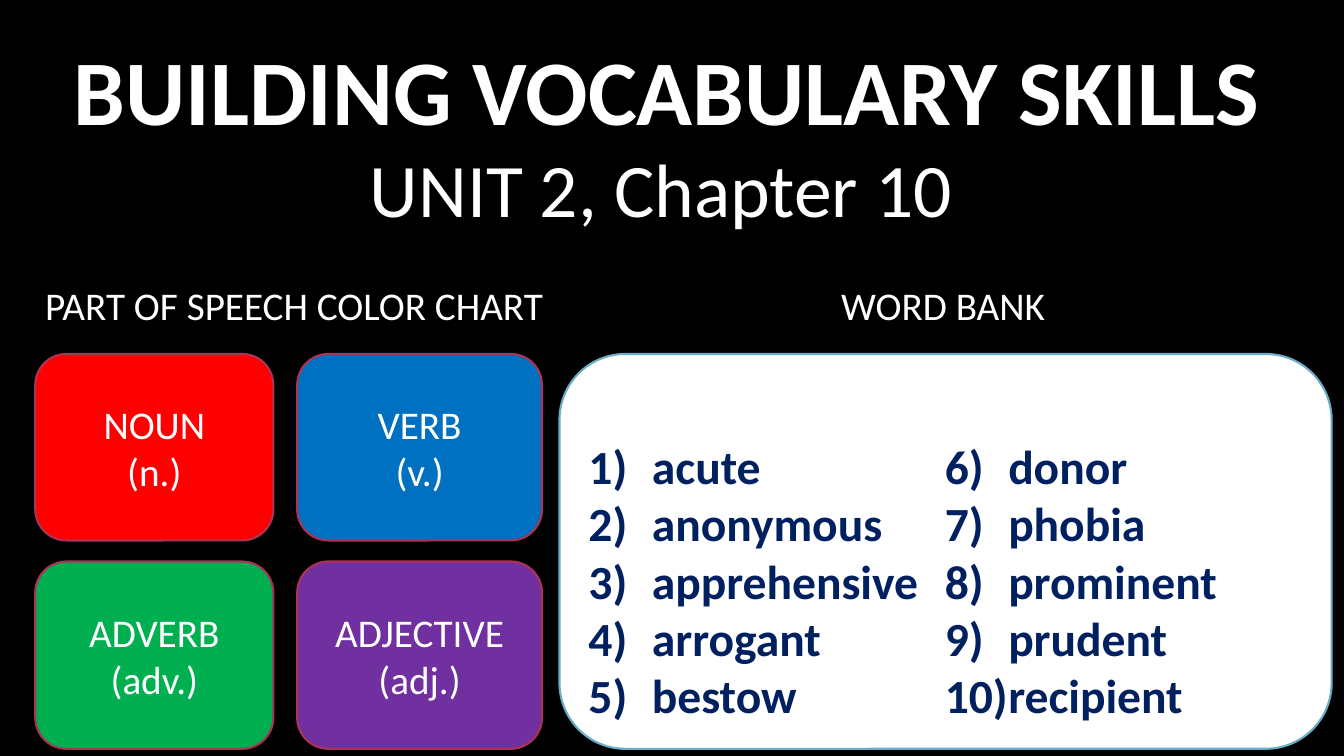
from lxml.etree import SubElement
from pptx import Presentation
from pptx.dml.color import RGBColor
from pptx.enum.shapes import MSO_SHAPE
from pptx.enum.text import MSO_ANCHOR, PP_ALIGN
from pptx.oxml.ns import qn
from pptx.util import Cm, Pt

TITLE = "BUILDING VOCABULARY SKILLS"
UNIT = "UNIT 2, Chapter 10"
CHART = "PART OF SPEECH COLOR CHART"
BANK = "WORD BANK"
PARTS = [
    [("NOUN", "(n.)", "FF0000"), ("VERB", "(v.)", "0070C0")],
    [("ADVERB", "(adv.)", "00B050"), ("ADJECTIVE", "(adj.)", "7030A0")],
]
WORDS = [
    ["acute", "anonymous", "apprehensive", "arrogant", "bestow"],
    ["donor", "phobia", "prominent", "prudent", "recipient"],
]

THEME = {
    "font": "Calibri", "back": "000000", "text": "FFFFFF", "word": "002060",
    "panel": "FFFFFF", "edge": "AC3356", "rim": "6AADC8",
    "title": 66, "unit": 54, "label": 28, "bank": 34,
}

# All lengths are in centimetres.
COLS = [(0.89, 6.0), (7.49, 6.17)]
ROWS = [(8.92, 4.7), (14.15, 4.72)]
PANEL = (14.1, 8.92, 19.46, 9.95)
LIST = (14.83, 11.02, 8.9, 7.2)
STEP = 8.98
INDENT = 1.6

deck = Presentation()
deck.slide_width, deck.slide_height = Cm(33.87), Cm(19.05)
slide = deck.slides.add_slide(deck.slide_layouts[6])
slide.background.fill.solid()
slide.background.fill.fore_color.rgb = RGBColor.from_string(THEME["back"])


def write(frame, lines, size, color=THEME["text"], bold=False,
          align=PP_ALIGN.CENTER, anchor=MSO_ANCHOR.MIDDLE, wrap=True, start=None):
    """Fill a frame with paragraphs, numbered from start if it is given."""
    frame.word_wrap = wrap
    frame.vertical_anchor = anchor
    for i, line in enumerate(lines):
        para = frame.paragraphs[0] if i == 0 else frame.add_paragraph()
        para.alignment = align
        if start:
            props = para._p.get_or_add_pPr()
            props.set("marL", str(Cm(INDENT)))
            props.set("indent", str(-Cm(INDENT)))
            SubElement(props, qn("a:buFont"), typeface="+mj-lt")
            SubElement(props, qn("a:buAutoNum"), type="arabicParenR",
                       startAt=str(start))
        run = para.add_run()
        run.text = line
        font = run.font
        font.name, font.size, font.bold = THEME["font"], Pt(size), bold
        font.color.rgb = RGBColor.from_string(color)


def add_text(box, lines, size, pad=True, **form):
    frame = slide.shapes.add_textbox(*map(Cm, box)).text_frame
    if not pad:
        frame.margin_left = frame.margin_right = 0
        frame.margin_top = frame.margin_bottom = 0
    write(frame, lines, size, **form)


def add_card(box, fill, edge):
    card = slide.shapes.add_shape(MSO_SHAPE.ROUNDED_RECTANGLE, *map(Cm, box))
    card.shadow.inherit = False
    card.fill.solid()
    card.fill.fore_color.rgb = RGBColor.from_string(fill)
    card.line.color.rgb = RGBColor.from_string(edge)
    card.line.width = Pt(1.5)
    return card


add_text((0.89, 1.3, 31.85, 1.85), [TITLE], THEME["title"], bold=True)
add_text((8.86, 3.66, 15.6, 2.1), [UNIT], THEME["unit"])

for (top, high), row in zip(ROWS, PARTS):
    for (left, wide), (name, short, fill) in zip(COLS, row):
        card = add_card((left, top, wide, high), fill, THEME["edge"])
        write(card.text_frame, [name, short], THEME["label"])

for left, wide, label in [(0.89, 13.2, CHART), (20.95, 5.72, BANK)]:
    add_text((left, 6.96, wide, 1.45), [label], THEME["label"], wrap=False,
             align=PP_ALIGN.LEFT, anchor=MSO_ANCHOR.TOP)

add_card(PANEL, THEME["panel"], THEME["rim"])
left, top, wide, high = LIST
start = 1
for col, words in enumerate(WORDS):
    add_text((left + col * STEP, top, wide, high), words, THEME["bank"],
             pad=False, color=THEME["word"], bold=True, start=start,
             align=PP_ALIGN.LEFT, anchor=MSO_ANCHOR.TOP)
    start += len(words)

deck.save("out.pptx")
